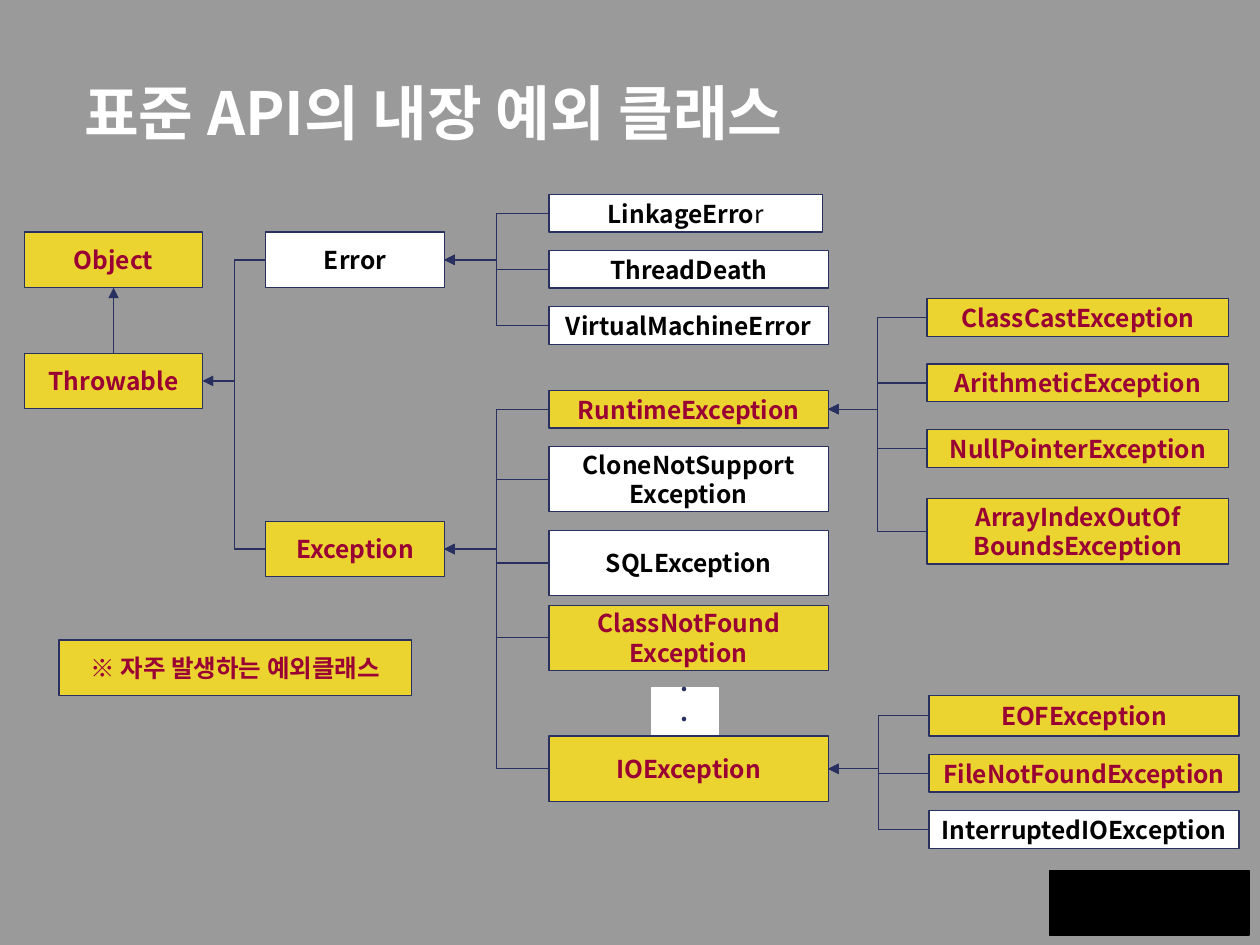
from pptx import Presentation
from pptx.dml.color import RGBColor
from pptx.enum.shapes import MSO_CONNECTOR, MSO_SHAPE
from pptx.enum.text import MSO_ANCHOR, MSO_AUTO_SIZE, PP_ALIGN
from pptx.oxml.ns import qn
from pptx.util import Cm, Pt
from lxml import etree

GRAY = RGBColor(0x9A, 0x9A, 0x9A)
WHITE = RGBColor(0xFF, 0xFF, 0xFF)
BLACK = RGBColor(0, 0, 0)
YELLOW = RGBColor(0xEB, 0xD4, 0x2F)
NAVY = RGBColor(0x27, 0x30, 0x5F)
CRIMSON = RGBColor(0x99, 0x00, 0x33)
RECTANGLE = MSO_SHAPE.RECTANGLE
STRAIGHT, ELBOW = MSO_CONNECTOR.STRAIGHT, MSO_CONNECTOR.ELBOW
MIDDLE, BOTTOM = MSO_ANCHOR.MIDDLE, MSO_ANCHOR.BOTTOM
GROW = MSO_AUTO_SIZE.SHAPE_TO_FIT_TEXT
CENTER, LEFT = PP_ALIGN.CENTER, PP_ALIGN.LEFT
TOP_SITE, LEFT_SITE, BOTTOM_SITE, RIGHT_SITE = range(4)


class ClassDiagram:
    """Draws class boxes and inheritance arrows in one style on a slide."""

    font_name = "Noto Sans CJK KR"
    line_width = Pt(0.74)

    def __init__(self, slide):
        self.slide = slide
        slide.background.fill.solid()
        slide.background.fill.fore_color.rgb = GRAY

    def format_run(self, run, size, color, bold=True):
        run.font.name = self.font_name
        run.font.size = Pt(size)
        run.font.bold = bold
        run.font.color.rgb = color
        east_asian = etree.SubElement(run.font._element, qn("a:ea"))
        east_asian.set("typeface", self.font_name)

    def title(self, text, left, top, width, height):
        shape = self.slide.shapes.title
        shape.left, shape.top = Cm(left), Cm(top)
        shape.width, shape.height = Cm(width), Cm(height)
        frame = shape.text_frame
        frame.text = text
        frame.margin_left = frame.margin_right = 0
        frame.margin_top = frame.margin_bottom = 0
        frame.vertical_anchor = BOTTOM
        frame.auto_size = GROW
        paragraph = frame.paragraphs[0]
        paragraph.alignment = LEFT
        paragraph.line_spacing = 0.9
        self.format_run(paragraph.runs[0], 34, WHITE)

    def rectangle(self, left, top, width, height, fill, line):
        shape = self.slide.shapes.add_shape(
            RECTANGLE, Cm(left), Cm(top), Cm(width), Cm(height))
        shape.shadow.inherit = False
        shape.fill.solid()
        shape.fill.fore_color.rgb = fill
        shape.line.color.rgb = line
        shape.line.width = self.line_width
        return shape

    def box(self, text, left, top, width, height, fill=YELLOW, line=NAVY, color=None):
        shape = self.rectangle(left, top, width, height, fill, line)
        color = color or (CRIMSON if fill == YELLOW else BLACK)
        frame = shape.text_frame
        frame.text = text
        frame.word_wrap = False
        frame.vertical_anchor = MIDDLE
        for paragraph in frame.paragraphs:
            paragraph.alignment = CENTER
            for run in paragraph.runs:
                self.format_run(run, 14, color)
        return shape

    def column(self, left, width, rows):
        return [self.box(text, left, top, width, height, fill)
                for text, top, height, fill in rows]

    def arrow(self, child, parent, kind=ELBOW, start=LEFT_SITE, end=RIGHT_SITE):
        connector = self.slide.shapes.add_connector(kind, 0, 0, 0, 0)
        connector.begin_connect(child, start)
        connector.end_connect(parent, end)
        connector.line.color.rgb = NAVY
        connector.line.width = self.line_width
        line = connector.line._get_or_add_ln()
        etree.SubElement(line, qn("a:tailEnd")).set("type", "triangle")
        etree.SubElement(connector._element.spPr, qn("a:effectLst"))

    def inherit(self, children, parent):
        for child in children:
            self.arrow(child, parent)


presentation = Presentation()
presentation.slide_width, presentation.slide_height = Cm(25.4), Cm(19.05)
slide = presentation.slides.add_slide(presentation.slide_layouts[5])
diagram = ClassDiagram(slide)

diagram.rectangle(21.16, 17.55, 4.02, 1.3, BLACK, BLACK)
diagram.title("표준 API의 내장 예외 클래스", 1.7, 1.68, 22.6, 1.32)

LOW, MEDIUM, HIGH = 0.76, 1.12, 1.32
root, throwable = diagram.column(0.49, 3.6, [
    ("Object", 4.68, MEDIUM, YELLOW),
    ("Throwable", 7.12, MEDIUM, YELLOW),
])
error, exception = diagram.column(5.36, 3.6, [
    ("Error", 4.68, MEDIUM, WHITE),
    ("Exception", 10.51, MEDIUM, YELLOW),
])
linkage, *other_errors = diagram.column(11.07, 5.63, [
    ("LinkageErro", 3.92, LOW, WHITE),
    ("ThreadDeath", 5.05, LOW, WHITE),
    ("VirtualMachineError", 6.18, LOW, WHITE),
])
linkage.width = Cm(5.51)
last_letter = linkage.text_frame.paragraphs[0].add_run()
last_letter.text = "r"
diagram.format_run(last_letter, 14, BLACK, bold=False)

exceptions = diagram.column(11.07, 5.63, [
    ("RuntimeException", 7.87, LOW, YELLOW),
    ("CloneNotSupport\nException", 9, HIGH, WHITE),
    ("SQLException", 10.69, HIGH, WHITE),
    ("ClassNotFound\nException", 12.2, HIGH, YELLOW),
    ("IOException", 14.84, HIGH, YELLOW),
])
runtime_exceptions = diagram.column(18.69, 6.08, [
    ("ClassCastException", 6.02, LOW, YELLOW),
    ("ArithmeticException", 7.34, LOW, YELLOW),
    ("NullPointerException", 8.66, LOW, YELLOW),
    ("ArrayIndexOutOf\nBoundsException", 10.05, HIGH, YELLOW),
])
io_exceptions = diagram.column(18.73, 6.25, [
    ("EOFException", 14.02, 0.82, YELLOW),
    ("FileNotFoundException", 15.21, LOW, YELLOW),
    ("InterruptedIOException", 16.34, LOW, WHITE),
])

diagram.arrow(throwable, root, STRAIGHT, TOP_SITE, BOTTOM_SITE)
diagram.inherit([error, exception], throwable)
diagram.inherit([linkage, *other_errors], error)
diagram.inherit(exceptions, exception)
diagram.inherit(runtime_exceptions, exceptions[0])
diagram.inherit(io_exceptions, exceptions[-1])

ellipsis_box = diagram.box(".\n.", 13.13, 13.87, 1.35, 0.94, WHITE, WHITE, NAVY)
ellipsis_box.text_frame.margin_bottom = Cm(0.71)
diagram.box("※ 자주 발생하는 예외클래스", 1.19, 12.9, 7.11, MEDIUM)

presentation.save("out.pptx")
